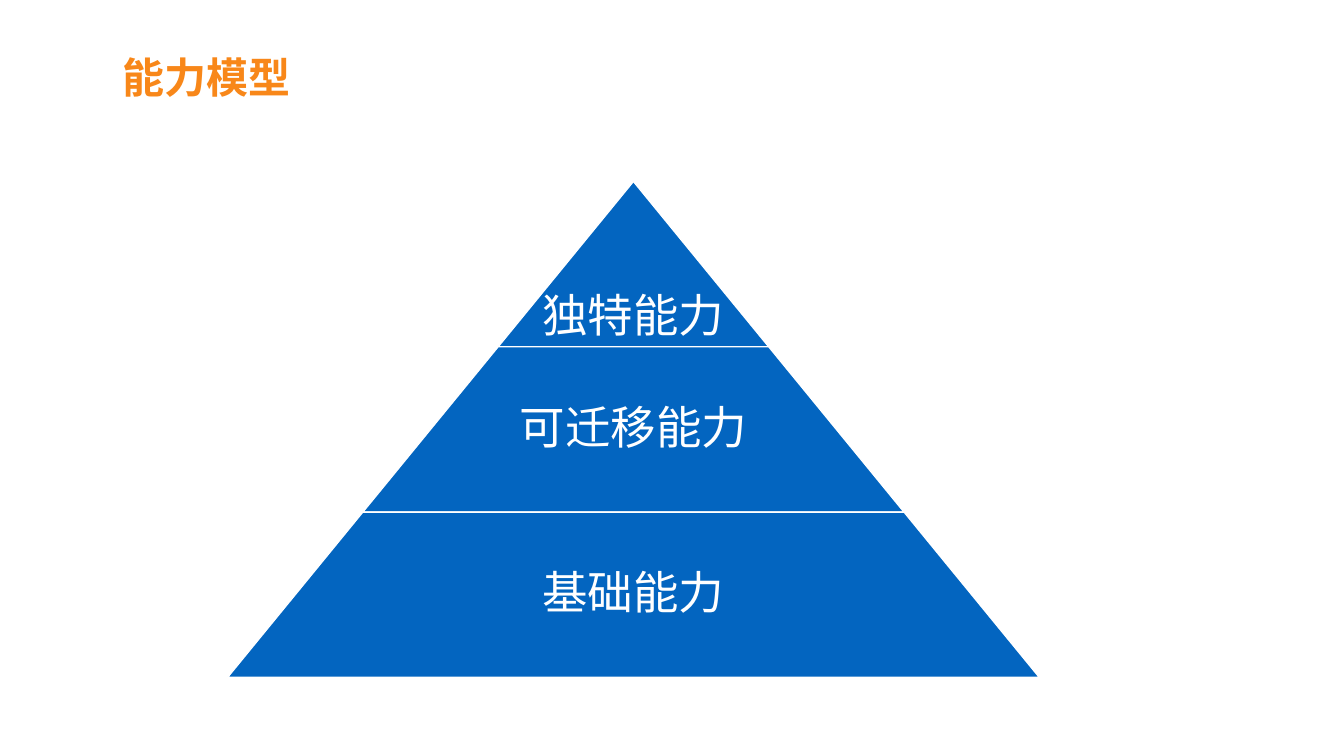
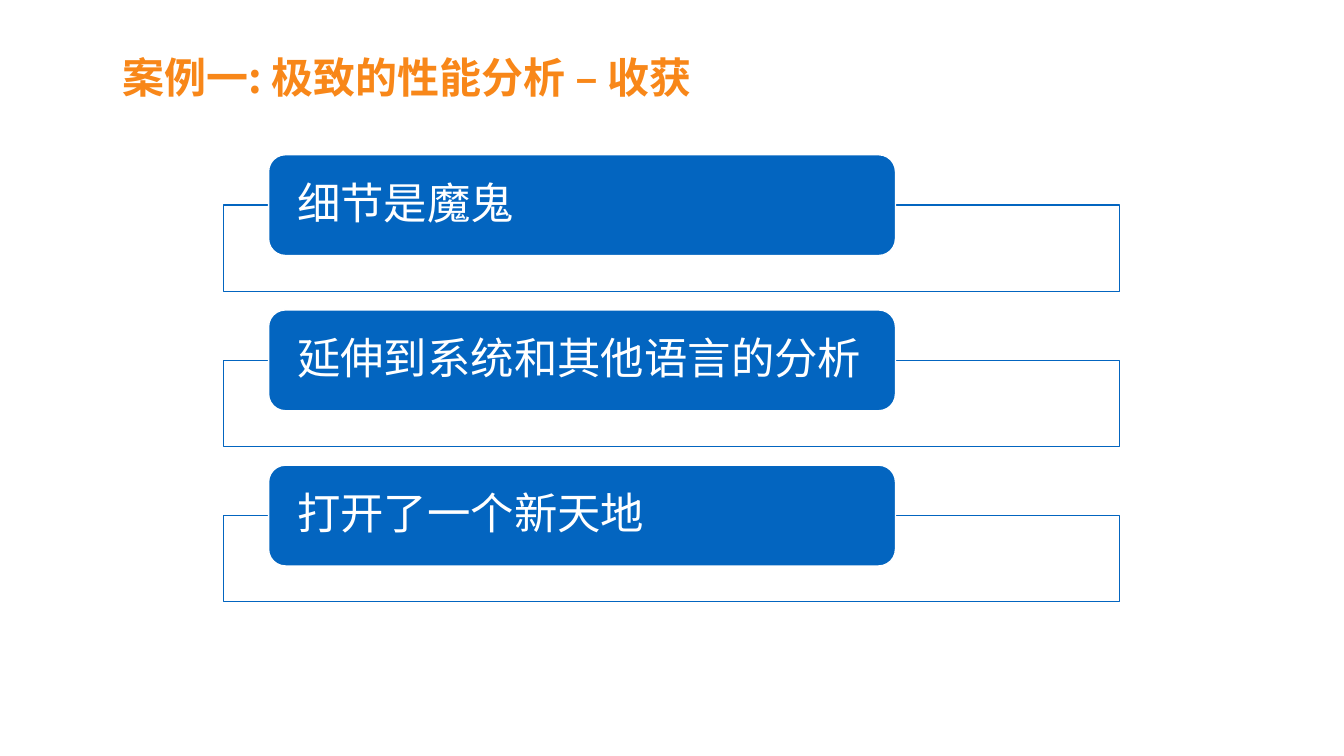
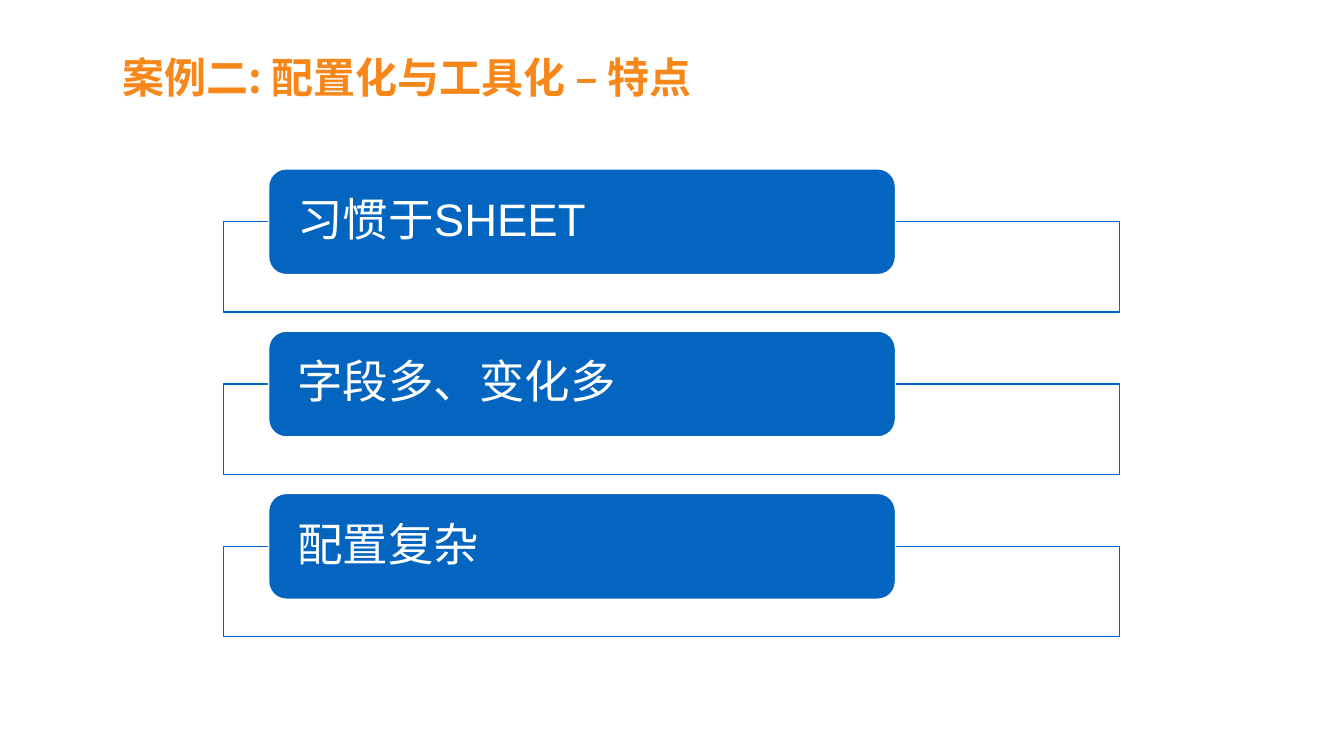
import dataclasses

import lxml.etree as etree
import pptx
import pptx.dml.color
import pptx.enum.shapes
import pptx.enum.text
import pptx.oxml.ns
import pptx.util

Inches = pptx.util.Inches
Shape = pptx.enum.shapes.MSO_SHAPE
Anchor = pptx.enum.text.MSO_ANCHOR
Align = pptx.enum.text.PP_ALIGN
qn = pptx.oxml.ns.qn


@dataclasses.dataclass(frozen=True)
class Theme:
    """Colours, fonts and sizes that all slides share."""
    blue: str = "0365C0"
    white: str = "FFFFFF"
    orange: str = "F88719"
    latin: str = "Arial"
    asian: str = "Noto Sans CJK SC"
    head: int = 60
    body: int = 65
    small: int = 62
    line: int = 2
    tight: float = 0.9
    clear: int = 90


def tint(code):
    """Turn a hex code into a colour."""
    return pptx.dml.color.RGBColor.from_string(code)


class Deck:
    """Holds the theme, the file and the current slide."""

    def __init__(self, theme):
        """Start an empty wide deck."""
        self.theme = theme
        self.file = pptx.Presentation()
        self.file.slide_width = Inches(26.67)
        self.file.slide_height = Inches(15)
        self.slide = None

    def page(self, title, width):
        """Add a slide and set its title."""
        layout = self.file.slide_layouts.get_by_name("Title Only")
        self.slide = self.file.slides.add_slide(layout)
        head = self.slide.shapes.title
        head.left, head.top = Inches(2.39), Inches(0.57)
        head.width, head.height = Inches(width), Inches(1.5)
        self.label(head, title, self.theme.head, self.theme.orange,
                   font=self.theme.asian, bold=True, anchor=Anchor.BOTTOM,
                   pad=(0.04, 0.04))

    def label(self, shape, text, size, color, font=None, bold=False,
              anchor=Anchor.MIDDLE, align=Align.LEFT, pad=(0, 0), space=None):
        """Put one run of styled text in a shape; pad is side, then end."""
        frame = shape.text_frame
        frame.word_wrap = True
        frame.auto_size = pptx.enum.text.MSO_AUTO_SIZE.NONE
        frame.vertical_anchor = anchor
        frame.margin_left = frame.margin_right = Inches(pad[0])
        frame.margin_top = frame.margin_bottom = Inches(pad[1])
        para = frame.paragraphs[0]
        para.alignment = align
        para.line_spacing = space
        run = para.add_run()
        run.text = text
        run.font.size = pptx.util.Pt(size)
        run.font.bold = bold
        run.font.name = font or self.theme.latin
        run.font.color.rgb = tint(color)
        for props in shape.element.iter(qn("a:rPr")):
            etree.SubElement(props, qn("a:ea"), typeface=self.theme.asian)

    def block(self, kind, box, fill, line):
        """Add a filled and outlined preset shape."""
        shape = self.slide.shapes.add_shape(kind, *map(Inches, box))
        shape.shadow.inherit = False
        shape.fill.solid()
        shape.fill.fore_color.rgb = tint(fill)
        shape.line.color.rgb = tint(line)
        shape.line.width = pptx.util.Pt(self.theme.line)
        return shape

    def tier(self, box, slope, text, inner, anchor):
        """Add one level of the pyramid with its centred label."""
        look = self.theme
        left, top, width, height = box
        level = self.block(Shape.TRAPEZOID, box, look.blue, look.white)
        level.adjustments[0] = slope
        spot = (left + (width - inner) / 2, top, inner, height)
        text_box = self.slide.shapes.add_textbox(*map(Inches, spot))
        self.label(text_box, text, look.body, look.white, anchor=anchor,
                   align=Align.CENTER, pad=(0.09, 0.09), space=look.tight)

    def pyramid(self, names, mid, top, step, height):
        """Stack levels, each one step wider than the one above."""
        for i, name in enumerate(names):
            width = step * (i + 1)
            box = (mid - width / 2, top + i * height, width, height)
            inner = width * 0.65 if i else width
            anchor = Anchor.MIDDLE if i else Anchor.BOTTOM
            self.tier(box, step / 2 / height, name, inner, anchor)

    def veil(self, shape):
        """Make the fill of a shape slightly transparent."""
        fill = shape.element.spPr.find(qn("a:solidFill"))
        etree.SubElement(fill[0], qn("a:alpha"),
                         val=str(self.theme.clear * 1000))

    def points(self, names, top, tall, deep, pitch, size):
        """Add a list of label bars, each over an open frame."""
        look = self.theme
        for i, name in enumerate(names):
            y = top + i * pitch
            frame = self.block(Shape.RECTANGLE,
                               (4.44, y + tall / 2, 17.78, deep),
                               look.white, look.blue)
            self.veil(frame)
            bar = self.block(Shape.ROUNDED_RECTANGLE, (5.33, y, 12.44, tall),
                             look.blue, look.white)
            self.label(bar, name, size, look.white, pad=(0.47, 0),
                       space=look.tight)


def main():
    """Build the three slides and save them."""
    theme = Theme()
    deck = Deck(theme)

    deck.page("能力模型", 10.18)
    deck.pyramid(["独特能力", "可迁移能力", "基础能力"],
                 mid=12.57, top=3.6, step=5.37, height=3.28)

    deck.page("案例一: 极致的性能分析 – 收获", 12.28)
    deck.points(["细节是魔鬼", "延伸到系统和其他语言的分析", "打开了一个新天地"],
                top=3.07, tall=2, deep=1.71, pitch=3.08, size=theme.small)

    deck.page("案例二: 配置化与工具化 – 特点", 11.82)
    deck.points(["习惯于SHEET", "字段多、变化多", "配置复杂"],
                top=3.35, tall=2.1, deep=1.79, pitch=3.22, size=theme.body)

    deck.file.save("out.pptx")


main()
